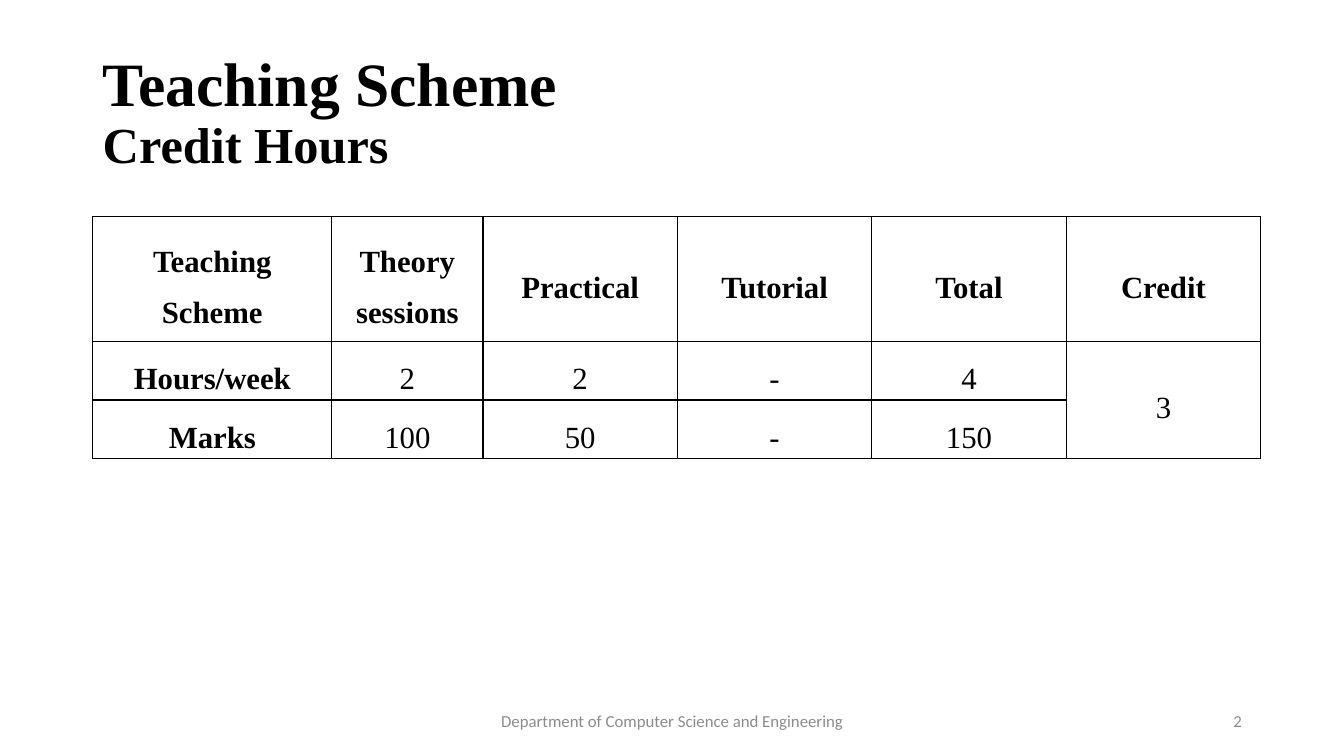
from lxml.etree import SubElement
from pptx import Presentation
from pptx.dml.color import RGBColor
from pptx.enum.text import MSO_ANCHOR, PP_ALIGN
from pptx.oxml.ns import qn
from pptx.util import Cm, Pt

BLACK = RGBColor(0x00, 0x00, 0x00)
GREY = RGBColor(0x8C, 0x8C, 0x8C)
SERIF = "Times New Roman"
SANS = "Calibri"


def apply(target, values):
    """Set each attribute of the target from a dict."""
    for name, value in values.items():
        setattr(target, name, value)


class SlideBuilder:
    """Hold the shared style and the current slide."""

    text_frame = {"word_wrap": True, "vertical_anchor": MSO_ANCHOR.MIDDLE}
    table = {"first_row": False, "horz_banding": False}
    cell = {
        "vertical_anchor": MSO_ANCHOR.MIDDLE,
        "margin_left": Cm(0.18),
        "margin_right": Cm(0.18),
        "margin_top": 0,
        "margin_bottom": 0,
    }
    cell_paragraph = {"alignment": PP_ALIGN.CENTER, "line_spacing": 1.5}
    border_width = Pt(1)

    def __init__(self, presentation):
        """Add a blank slide."""
        self.slide = presentation.slides.add_slide(presentation.slide_layouts[6])

    def add_run(self, paragraph, text, size, font, color, bold=False):
        """Add one formatted run to a paragraph."""
        run = paragraph.add_run()
        run.text = text
        apply(run.font, {"size": Pt(size), "name": font, "bold": bold})
        run.font.color.rgb = color

    def add_text(self, box, lines, font, color, bold=False, **paragraph_format):
        """Add a text box whose lines are pairs of text and size."""
        shape = self.slide.shapes.add_textbox(*map(Cm, box))
        apply(shape.text_frame, self.text_frame)
        paragraph = shape.text_frame.paragraphs[0]
        apply(paragraph, paragraph_format)
        for index, (text, size) in enumerate(lines):
            if index:
                paragraph.add_line_break()
            self.add_run(paragraph, text, size, font, color, bold)

    def add_borders(self, cell):
        """Draw a solid line on all four sides of a cell."""
        properties = cell._tc.get_or_add_tcPr()
        for side in ("a:lnL", "a:lnR", "a:lnT", "a:lnB"):
            line = SubElement(properties, qn(side), w=str(self.border_width))
            fill = SubElement(line, qn("a:solidFill"))
            SubElement(fill, qn("a:srgbClr"), val=str(BLACK))

    def add_table(self, left, top, widths, heights, rows):
        """Add a bordered table with bold first row and first column."""
        frame = self.slide.shapes.add_table(
            len(heights), len(widths), Cm(left), Cm(top), Cm(sum(widths)), Cm(sum(heights))
        )
        table = frame.table
        apply(table, self.table)
        for column, width in zip(table.columns, widths):
            column.width = Cm(width)
        for row, height in zip(table.rows, heights):
            row.height = Cm(height)
        for row_index, row in enumerate(rows):
            for column_index, text in enumerate(row):
                cell = table.cell(row_index, column_index)
                apply(cell, self.cell)
                self.add_borders(cell)
                cell.fill.background()
                bold = row_index == 0 or column_index == 0
                for index, line in enumerate(text.split("\n") if text else []):
                    frame = cell.text_frame
                    paragraph = frame.add_paragraph() if index else frame.paragraphs[0]
                    apply(paragraph, self.cell_paragraph)
                    self.add_run(paragraph, line, 22, SERIF, BLACK, bold)
        return table


presentation = Presentation()
apply(presentation, {"slide_width": Cm(33.87), "slide_height": Cm(19.05)})
builder = SlideBuilder(presentation)

builder.add_text(
    (2.34, 1.02, 29.21, 3.68),
    [("Teaching Scheme", 44), ("Credit Hours", 36)],
    SERIF, BLACK, bold=True, line_spacing=0.9,
)

scheme_table = builder.add_table(
    2.34, 5.46,
    [6.02, 3.81] + [4.9] * 4,
    [3.15, 1.47, 1.47],
    [
        ["Teaching Scheme", "Theory\nsessions", "Practical", "Tutorial", "Total", "Credit"],
        ["Hours/week", "2", "2", "-", "4", "3"],
        ["Marks", "100", "50", "-", "150", ""],
    ],
)
scheme_table.cell(1, 5).merge(scheme_table.cell(2, 5))

for left, width, text, alignment in [
    (11.23, 11.43, "Department of Computer Science and Engineering", PP_ALIGN.CENTER),
    (23.93, 7.62, "2", PP_ALIGN.RIGHT),
]:
    builder.add_text(
        (left, 17.65, width, 1.02), [(text, 12)], SANS, GREY, alignment=alignment
    )

presentation.save("out.pptx")
